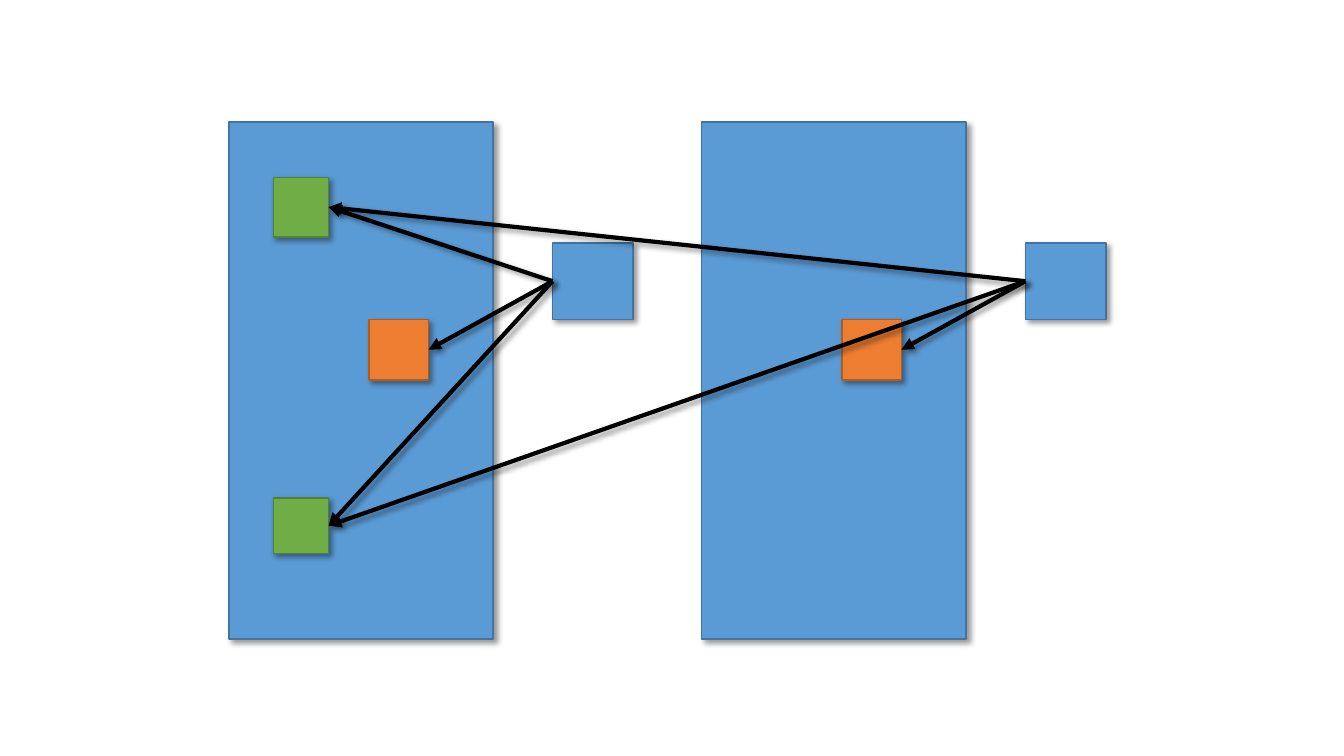
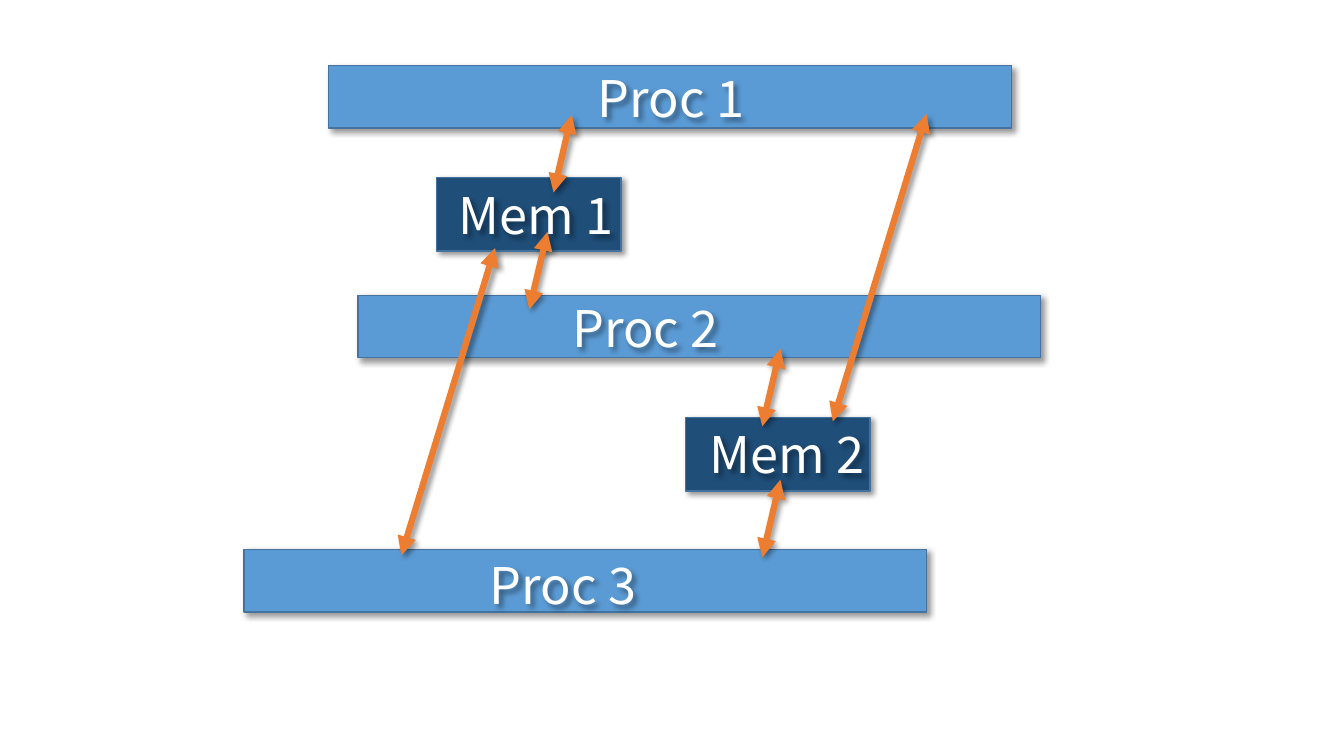
import lxml.etree
import pptx
import pptx.dml.color
import pptx.enum.dml
import pptx.enum.shapes
import pptx.enum.text
import pptx.oxml.ns
import pptx.util

Inches = pptx.util.Inches
Pt = pptx.util.Pt
RGBColor = pptx.dml.color.RGBColor

BLUE = RGBColor(0x5B, 0x9B, 0xD5)
BLUE_EDGE = RGBColor(0x43, 0x73, 0x9E)
NAVY = RGBColor(0x1F, 0x4E, 0x79)
GREEN = RGBColor(0x70, 0xAD, 0x47)
GREEN_EDGE = RGBColor(0x53, 0x80, 0x35)
ORANGE = RGBColor(0xED, 0x7D, 0x31)
ORANGE_EDGE = RGBColor(0xAF, 0x5C, 0x24)
BLACK = RGBColor(0, 0, 0)
WHITE = RGBColor(0xFF, 0xFF, 0xFF)
FONT = "Noto Sans CJK SC"
LEFT_SIDE, RIGHT_SIDE = 1, 3


def add_element(parent, tag, **attributes):
    return lxml.etree.SubElement(parent, pptx.oxml.ns.qn(tag), **attributes)


def add_shadow(sp):
    """Cast a soft shadow to the lower right; call after fill and line are set."""
    effects = add_element(sp._element.spPr, "a:effectLst")
    shadow = add_element(effects, "a:outerShdw", blurRad=str(Pt(4)), dist=str(Pt(3)),
                         dir="2700000", algn="tl", rotWithShape="0")
    color = add_element(shadow, "a:srgbClr", val=str(BLACK))
    add_element(color, "a:alpha", val="40000")


def add_box(slide, left, top, width, height, fill=BLUE, edge=BLUE_EDGE):
    sp = slide.shapes.add_shape(pptx.enum.shapes.MSO_SHAPE.RECTANGLE, Inches(left),
                                Inches(top), Inches(width), Inches(height))
    sp.fill.solid()
    sp.fill.fore_color.rgb = fill
    sp.line.color.rgb = edge
    sp.line.width = Pt(1)
    add_shadow(sp)
    return sp


def add_arrow(slide, start, end, color, width, heads):
    """Draw a line with a triangle at each end listed in heads."""
    line = slide.shapes.add_connector(pptx.enum.shapes.MSO_CONNECTOR.STRAIGHT,
                                      *(Inches(v) for v in (*start, *end)))
    line.line.color.rgb = color
    line.line.width = Pt(width)
    for head in heads:
        add_element(line.line._ln, head, type="triangle")
    add_shadow(line)
    return line


def add_link(slide, source, target):
    """Point from the left side of source to the right side of target."""
    line = add_arrow(slide, (0, 0), (1, 1), BLACK, 3, ["a:tailEnd"])
    line.begin_connect(source, LEFT_SIDE)
    line.end_connect(target, RIGHT_SIDE)


def add_exchange(slide, left, top, width, height):
    """Double arrow running down and to the left from (left, top)."""
    add_arrow(slide, (left, top), (left - width, top + height), ORANGE, 4.5,
              ["a:headEnd", "a:tailEnd"])


def add_label(slide, text, left, top):
    sp = slide.shapes.add_textbox(Inches(left), Inches(top), Inches(3.81), Inches(0.71))
    tf = sp.text_frame
    tf.word_wrap = True
    tf.auto_size = pptx.enum.text.MSO_AUTO_SIZE.SHAPE_TO_FIT_TEXT
    tf.text = text
    font = tf.paragraphs[0].runs[0].font
    font.name = FONT
    font.size = Pt(36)
    font.color.rgb = WHITE
    add_shadow(sp)


def build_references(slide):
    nodes = []
    for left in (2.27, 2.27 + 4.69):
        add_box(slide, left, 1.21, 2.62, 5.13)
        client = add_box(slide, left + 3.21, 2.41, 0.8, 0.76)
        private = add_box(slide, left + 1.39, 3.17, 0.59, 0.6, ORANGE, ORANGE_EDGE)
        nodes.append((client, private))
    shared = [add_box(slide, 2.71, top, 0.55, height, GREEN, GREEN_EDGE)
              for top, height in ((1.76, 0.59), (4.94, 0.55))]
    for client, private in nodes:
        for target in (private, *shared):
            add_link(slide, client, target)


def build_processes(slide):
    for left, top in ((3.26, 0.65), (3.55, 2.93), (2.42, 5.45)):
        add_box(slide, left, top, 6.77, 0.62)
    for left, top in ((4.33, 1.76), (6.8, 4.14)):
        add_box(slide, left, top, 1.83, 0.73, NAVY)
    for left, top in ((5.67, 1.14), (5.43, 2.3), (7.74, 3.46), (7.74, 4.76)):
        add_exchange(slide, left, top, 0.18, 0.77)
    for text, left, top in (("Proc 1", 5.83, 0.62), ("Proc 2", 5.58, 2.9),
                            ("Proc 3", 4.76, 5.45), ("Mem 1", 4.45, 1.78),
                            ("Mem 2", 6.94, 4.15)):
        add_label(slide, text, left, top)
    for left, top in ((9.19, 1.13), (4.91, 2.46)):
        add_exchange(slide, left, top, 0.93, 3.05)


def main():
    prs = pptx.Presentation()
    prs.slide_width = Inches(13.33)
    prs.slide_height = Inches(7.5)
    for build in (build_references, build_processes):
        build(prs.slides.add_slide(prs.slide_layouts[6]))
    prs.save("out.pptx")


if __name__ == "__main__":
    main()
